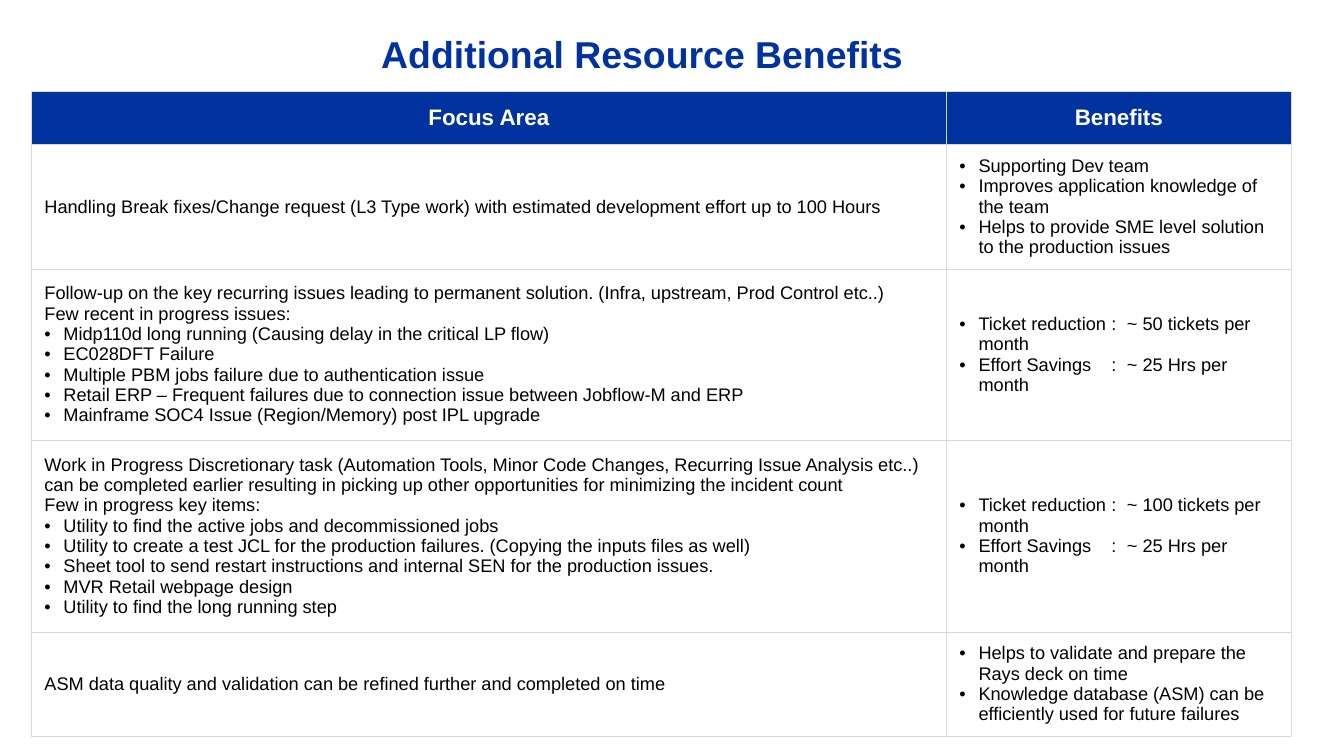
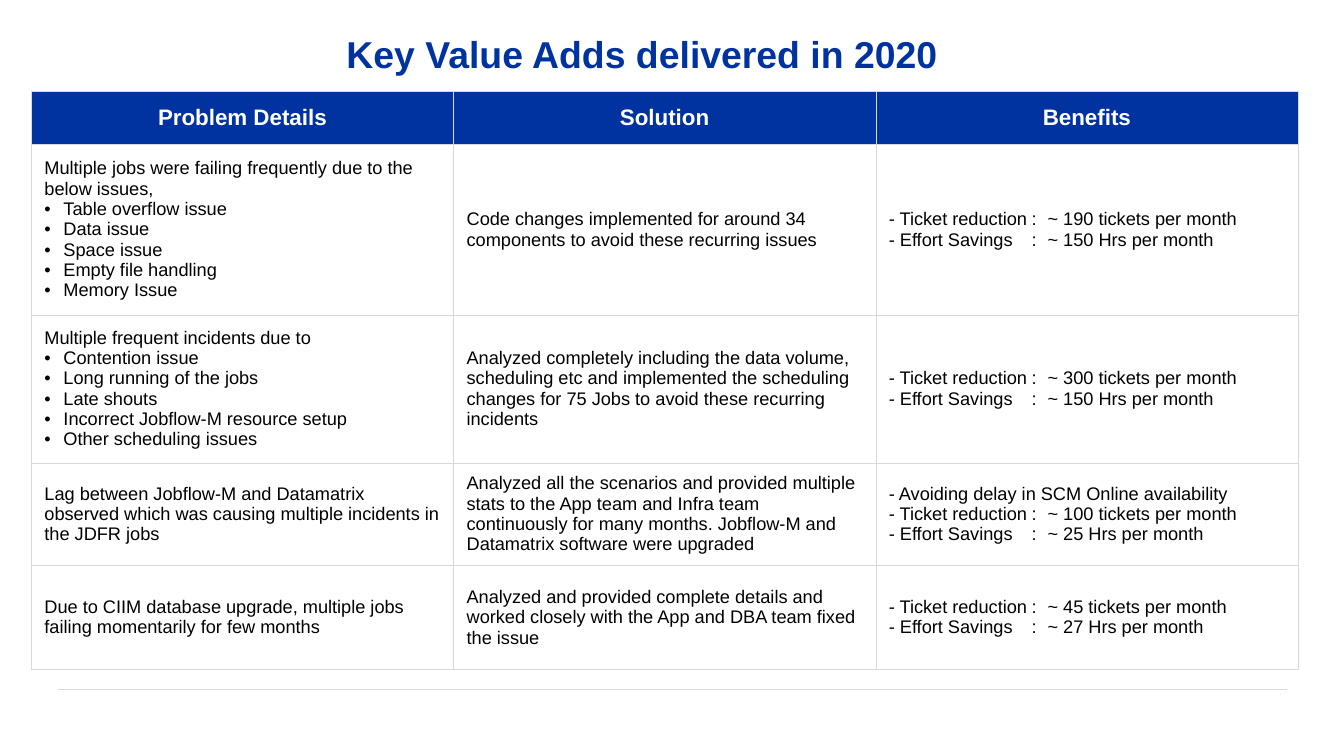
from dataclasses import dataclass
from lxml import etree
from pptx import Presentation
from pptx import util as u
from pptx.dml import color
from pptx.enum import shapes, text
from pptx.oxml import ns

Cm, Pt = u.Cm, u.Pt


@dataclass(frozen=True)
class Theme:
    font: str = "Arial"
    blue: str = "0033A0"
    white: str = "FFFFFF"
    black: str = "000000"
    grey: str = "D9D9D9"
    title: float = 26.7
    head: float = 16
    body: float = 13
    rule: float = 0.5
    edge: float = 0.25


T = Theme()
TITLE = (1.42, 0.91, 29.54, 1.35)
RULE = (1.45, 17.37, 30.99)
LEFT, TOP, HEAD = 0.79, 2.29, 1.35
INDENT = 0.48
DOT = "• "  # marks a bulleted line in the data


def rgb(code):
    return color.RGBColor.from_string(code)


def sub(node, tag, **attrs):
    return etree.SubElement(node, ns.qn(tag), attrs)


def add_run(para, words, size, tint, bold=False):
    run = para.add_run()
    run.text = words
    font = run.font
    font.name, font.size, font.bold = T.font, Pt(size), bold
    font.color.rgb = rgb(tint)


# Shared layout: title place and footer rule
def set_base(deck):
    base = deck.slide_layouts.get_by_name("Title Only")
    name = base.placeholders[0]
    name.left, name.top, name.width, name.height = map(Cm, TITLE)
    return base


def add_rule(slide, base):
    x, y, wide = RULE
    line = slide.shapes.add_connector(
        shapes.MSO_CONNECTOR.STRAIGHT, Cm(x), Cm(y), Cm(x + wide), Cm(y))
    line.line.color.rgb = rgb(T.grey)
    line.line.width = Pt(T.rule)
    sub(line.element.spPr, "a:effectLst")
    base.shapes.element.append(line.element)


# Title
def add_title(slide, words):
    frame = slide.shapes.title.text_frame
    frame.margin_left = frame.margin_right = 0
    frame.margin_top = frame.margin_bottom = 0
    frame.vertical_anchor = text.MSO_ANCHOR.TOP
    frame.auto_size = text.MSO_AUTO_SIZE.NONE
    para = frame.paragraphs[0]
    para.alignment = text.PP_ALIGN.CENTER
    para.line_spacing = 0.9
    add_run(para, words, T.title, T.blue, True)


# Table cells
def style_cell(cell, tint):
    props = cell._tc.get_or_add_tcPr()
    for side in ("a:lnL", "a:lnR", "a:lnT", "a:lnB"):
        edge = sub(props, side, w=str(Pt(T.edge)))
        sub(sub(edge, "a:solidFill"), "a:srgbClr", val=T.grey)
    cell.fill.solid()
    cell.fill.fore_color.rgb = rgb(tint)
    cell.vertical_anchor = text.MSO_ANCHOR.MIDDLE
    cell.margin_left = cell.margin_right = Cm(0.33)
    cell.margin_top = cell.margin_bottom = Cm(0.18)


def add_line(para, words, stops):
    props = para._p.get_or_add_pPr()
    if words.startswith(DOT):
        words = words[len(DOT):]
        props.set("marL", str(Cm(INDENT)))
        props.set("indent", str(-Cm(INDENT)))
        sub(props, "a:buFont", typeface=T.font)
        sub(props, "a:buChar", char=DOT.strip())
    if "\t" in words:
        tabs = sub(props, "a:tabLst")
        for stop in stops:
            sub(tabs, "a:tab", pos=str(Cm(stop)), algn="l")
    add_run(para, words, T.body, T.black)


def fill_cell(cell, lines, stops):
    style_cell(cell, T.white)
    frame = cell.text_frame
    for i, words in enumerate(lines):
        para = frame.add_paragraph() if i else frame.paragraphs[0]
        add_line(para, words, stops)


def add_grid(slide, box, heads, rows, wides, highs, stops):
    left, top = box
    highs = [HEAD, *highs]
    grid = slide.shapes.add_table(
        len(highs), len(wides), Cm(left), Cm(top),
        Cm(sum(wides)), Cm(sum(highs))).table
    for col, wide in zip(grid.columns, wides):
        col.width = Cm(wide)
    for row, high in zip(grid.rows, highs):
        row.height = Cm(high)
    for i, words in enumerate(heads):
        cell = grid.cell(0, i)
        style_cell(cell, T.blue)
        para = cell.text_frame.paragraphs[0]
        para.alignment = text.PP_ALIGN.CENTER
        add_run(para, words, T.head, T.white, True)
    for r, row in enumerate(rows, 1):
        for c, lines in enumerate(row):
            fill_cell(grid.cell(r, c), lines, stops)


def add_page(deck, base, title, **grid):
    slide = deck.slides.add_slide(base)
    add_grid(slide, (LEFT, TOP), **grid)
    add_title(slide, title)
    return slide


def gains(mark, cut, hours):
    return [f"{mark}Ticket reduction\t:\t~ {cut} tickets per month",
            f"{mark}Effort Savings\t:\t~ {hours} Hrs per month"]


# Content
FOCUS = [
    (["Handling Break fixes/Change request (L3 Type work) with estimated "
      "development effort up to 100 Hours"],
     ["• Supporting Dev team",
      "• Improves application knowledge of the team",
      "• Helps to provide SME level solution to the production issues"]),
    (["Follow-up on the key recurring issues leading to permanent solution. "
      "(Infra, upstream, Prod Control etc..)",
      "Few recent in progress issues:",
      "• Midp110d long running (Causing delay in the critical LP flow)",
      "• EC028DFT Failure",
      "• Multiple PBM jobs failure due to authentication issue",
      "• Retail ERP – Frequent failures due to connection issue between "
      "Jobflow-M and ERP",
      "• Mainframe SOC4 Issue (Region/Memory) post IPL upgrade"],
     gains(DOT, 50, 25)),
    (["Work in Progress Discretionary task (Automation Tools, Minor Code "
      "Changes, Recurring Issue Analysis etc..) can be completed earlier "
      "resulting in picking up other opportunities for minimizing the "
      "incident count",
      "Few in progress key items:",
      "• Utility to find the active jobs and decommissioned jobs",
      "• Utility to create a test JCL for the production failures. "
      "(Copying the inputs files as well)",
      "• Sheet tool to send restart instructions and internal SEN for the "
      "production issues.",
      "• MVR Retail webpage design",
      "• Utility to find the long running step"],
     gains(DOT, 100, 25)),
    (["ASM data quality and validation can be refined further and completed "
      "on time"],
     ["• Helps to validate and prepare the Rays deck on time",
      "• Knowledge database (ASM) can be efficiently used for future "
      "failures"]),
]
ADDS = [
    (["Multiple jobs were failing frequently due to the below issues,",
      "• Table overflow issue", "• Data issue", "• Space issue",
      "• Empty file handling", "• Memory Issue"],
     ["Code changes implemented for around 34 components to avoid these "
      "recurring issues"],
     gains("- ", 190, 150)),
    (["Multiple frequent incidents due to",
      "• Contention issue", "• Long running of the jobs", "• Late shouts",
      "• Incorrect Jobflow-M resource setup", "• Other scheduling issues"],
     ["Analyzed completely including the data volume, scheduling etc and "
      "implemented the scheduling changes for 75 Jobs to avoid these "
      "recurring incidents"],
     gains("- ", 300, 150)),
    (["Lag between Jobflow-M and Datamatrix observed which was causing "
      "multiple incidents in the JDFR jobs"],
     ["Analyzed all the scenarios and provided multiple stats to the App "
      "team and Infra team continuously for many months. Jobflow-M and "
      "Datamatrix software were upgraded"],
     ["- Avoiding delay in SCM Online availability",
      *gains("- ", 100, 25)]),
    (["Due to CIIM database upgrade, multiple jobs failing momentarily for "
      "few months"],
     ["Analyzed and provided complete details and worked closely with the "
      "App and DBA team fixed the issue"],
     gains("- ", 45, 27)),
]

# Build
deck = Presentation()
deck.slide_width, deck.slide_height = Cm(33.87), Cm(19.05)
base = set_base(deck)
first = add_page(
    deck, base, "Additional Resource Benefits",
    heads=["Focus Area", "Benefits"], rows=FOCUS, wides=[23.06, 8.69],
    highs=[3.15, 4.29, 4.85, 2.62], stops=[3.83, 4.22])
add_rule(first, base)
add_page(
    deck, base, "Key Value Adds delivered in 2020",
    heads=["Problem Details", "Solution", "Benefits"], rows=ADDS,
    wides=[10.64] * 3, highs=[4.29, 3.73, 2.59, 2.62], stops=[3.6, 4.0])
deck.save("out.pptx")
